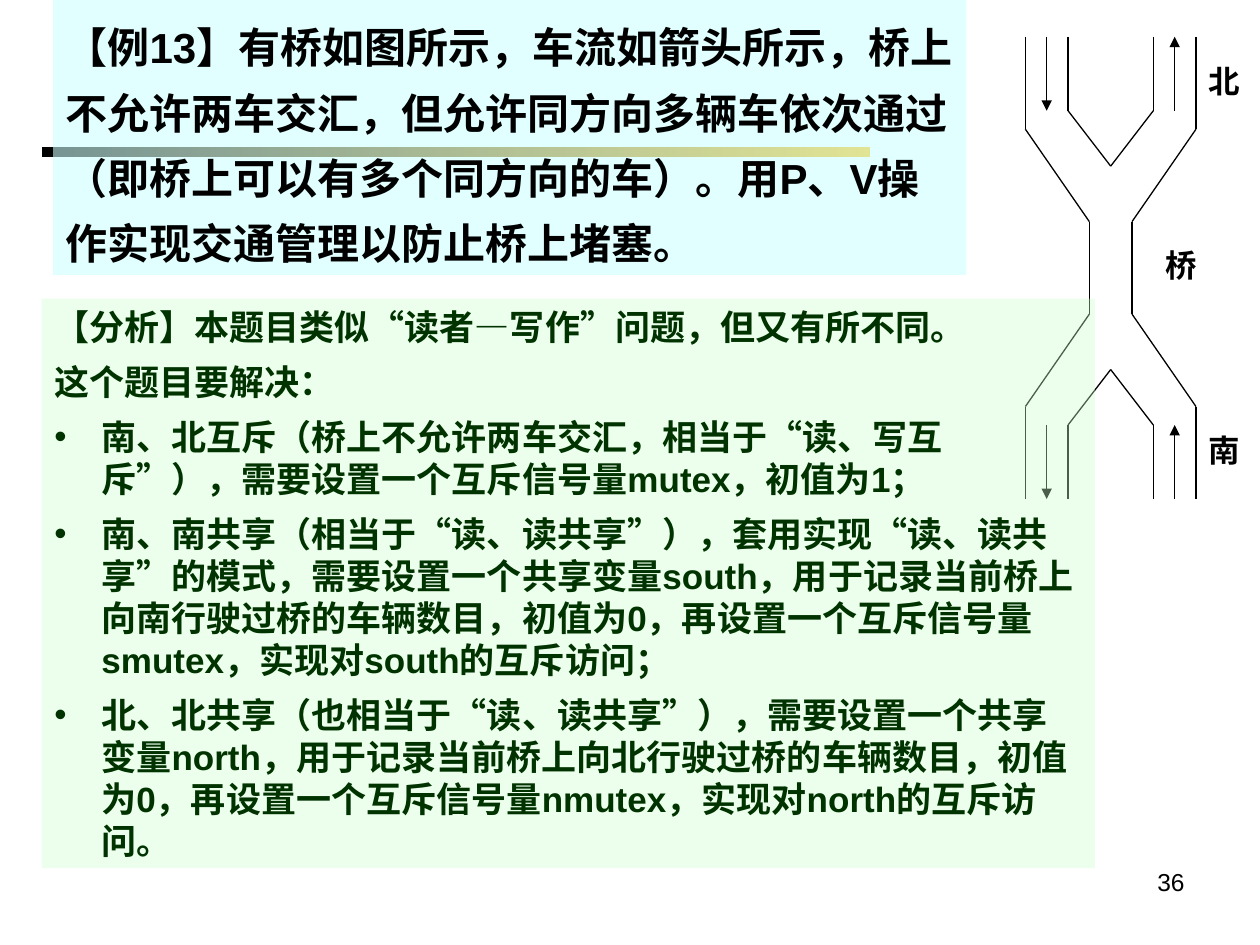
import dataclasses

import lxml.etree
import pptx
import pptx.dml.color
import pptx.enum.shapes
import pptx.enum.text
import pptx.oxml.ns
import pptx.util

Cm = pptx.util.Cm
Pt = pptx.util.Pt
qn = pptx.oxml.ns.qn
ALIGN = pptx.enum.text.PP_ALIGN
ANCHOR = pptx.enum.text.MSO_ANCHOR


@dataclasses.dataclass
class Style:
    size: float
    color: str = "000000"
    font: str = "Arial"
    bold: bool = True


@dataclasses.dataclass
class Line:
    x1: int
    y1: int
    x2: int
    y2: int
    arrow: bool = False


@dataclasses.dataclass
class Label:
    text: str
    left: float
    top: float


@dataclasses.dataclass
class Item:
    text: str
    bullet: bool = True


# Road grid: 8 columns by 25 rows, in cm
LEFT, TOP, COL, ROW = 20.67, 0.74, 0.43, 9.32 / 25
COLS, ROWS = 8, 25

# One branch of the road; the other three are its mirror images
BRANCH = [
    Line(0, 0, 0, 5),
    Line(2, 0, 2, 4),
    Line(2, 4, 4, 7),
    Line(0, 5, 3, 10),
]
BRIDGE = [Line(3, 10, 3, 15), Line(5, 10, 5, 15)]
FLOW = [
    Line(1, 0, 1, 4, True),
    Line(1, 21, 1, 25, True),
    Line(7, 25, 7, 21, True),
    Line(7, 4, 7, 0, True),
]
LABELS = [
    Label("桥", 23.24, 4.84),
    Label("北", 24.12, 1.12),
    Label("南", 24.12, 8.56),
]

TITLE = "【例13】有桥如图所示，车流如箭头所示，桥上不允许两车交汇，但允许同方向多辆车依次通过（即桥上可以有多个同方向的车）。用P、V操作实现交通管理以防止桥上堵塞。"
ITEMS = [
    Item("【分析】本题目类似“读者—写作”问题，但又有所不同。", False),
    Item("这个题目要解决：", False),
    Item("南、北互斥（桥上不允许两车交汇，相当于“读、写互斥”），需要设置一个互斥信号量mutex，初值为1；"),
    Item("南、南共享（相当于“读、读共享”），套用实现“读、读共享”的模式，需要设置一个共享变量south，用于记录当前桥上向南行驶过桥的车辆数目，初值为0，再设置一个互斥信号量smutex，实现对south的互斥访问；"),
    Item("北、北共享（也相当于“读、读共享”），需要设置一个共享变量north，用于记录当前桥上向北行驶过桥的车辆数目，初值为0，再设置一个互斥信号量nmutex，实现对north的互斥访问。"),
]


def paint(target, color: str) -> None:
    target.rgb = pptx.dml.color.RGBColor.from_string(color)


def write(para, text: str, style: Style) -> None:
    run = para.add_run()
    run.text = text
    run.font.size = Pt(style.size)
    run.font.name = style.font
    run.font.bold = style.bold
    paint(run.font.color, style.color)


def place(shape, left: float, top: float, width: float, height: float) -> None:
    shape.left, shape.top = Cm(left), Cm(top)
    shape.width, shape.height = Cm(width), Cm(height)


def panel(shape, color: str, alpha: int) -> None:
    """Give a placeholder a see-through fill and bring it to the front."""
    shape.fill.solid()
    paint(shape.fill.fore_color, color)
    tint = shape.element.spPr.find(".//" + qn("a:srgbClr"))
    lxml.etree.SubElement(tint, qn("a:alpha"), val=str(alpha * 1000))
    frame = shape.text_frame
    frame.word_wrap = True
    frame.auto_size = pptx.enum.text.MSO_AUTO_SIZE.NONE
    frame.vertical_anchor = ANCHOR.MIDDLE
    shape.element.getparent().append(shape.element)


def indent(para, bullet: bool) -> None:
    props = para._p.get_or_add_pPr()
    props.set("marL", str(Cm(0.95)))
    props.set("indent", str(-Cm(0.95)))
    # Keep closing punctuation inside the text area
    props.set("hangingPunct", "0")
    if bullet:
        lxml.etree.SubElement(props, qn("a:buFont"), typeface="Arial")
        lxml.etree.SubElement(props, qn("a:buChar"), char="•")
    else:
        lxml.etree.SubElement(props, qn("a:buNone"))


def draw(shapes, line: Line) -> None:
    link = shapes.add_connector(
        pptx.enum.shapes.MSO_CONNECTOR.STRAIGHT,
        Cm(LEFT + line.x1 * COL), Cm(TOP + line.y1 * ROW),
        Cm(LEFT + line.x2 * COL), Cm(TOP + line.y2 * ROW))
    link.line.width = Pt(0.75)
    link.line.fill.solid()
    paint(link.line.fill.fore_color, "000000")
    props = link.element.spPr
    if line.arrow:
        lxml.etree.SubElement(props.find(qn("a:ln")), qn("a:tailEnd"), type="triangle")
    lxml.etree.SubElement(props, qn("a:effectLst"))


def flip(line: Line, across: bool, down: bool) -> Line:
    x1, x2 = (COLS - line.x1, COLS - line.x2) if across else (line.x1, line.x2)
    y1, y2 = (ROWS - line.y1, ROWS - line.y2) if down else (line.y1, line.y2)
    return Line(x1, y1, x2, y2)


def note(shapes, text: str, box: tuple, align, style: Style) -> None:
    shape = shapes.add_textbox(*map(Cm, box))
    shape.text_frame.word_wrap = True
    para = shape.text_frame.paragraphs[0]
    para.alignment = align
    write(para, text, style)


def main() -> None:
    deck = pptx.Presentation()
    deck.slide_width, deck.slide_height = Cm(25.4), Cm(19.05)
    slide = deck.slides.add_slide(deck.slide_layouts[1])
    title, body = slide.placeholders

    # Gradient bar
    bar = slide.shapes.add_shape(
        pptx.enum.shapes.MSO_SHAPE.RECTANGLE, Cm(0.84), Cm(2.97), Cm(16.71), Cm(0.2))
    bar.shadow.inherit = False
    bar.line.fill.background()
    bar.fill.gradient()
    bar.fill.gradient_angle = 0
    for stop, color, spot in zip(bar.fill.gradient_stops, ("000000", "FFBF00"), (0, 1)):
        paint(stop.color, color)
        stop.position = spot

    # Page number
    note(slide.shapes, "36", (18.21, 17.35, 5.92, 1.32), ALIGN.RIGHT, Style(14, bold=False))

    # Title
    place(title, 1.07, 0, 18.41, 5.54)
    panel(title, "CCFFFF", 58)
    para = title.text_frame.paragraphs[0]
    para.alignment = ALIGN.LEFT
    para.line_spacing = 1.3
    write(para, TITLE, Style(24))

    # Bridge with its four branches
    group = slide.shapes.add_group_shape().shapes
    for across in (False, True):
        for down in (False, True):
            for line in BRANCH:
                draw(group, flip(line, across, down))
    for line in BRIDGE + FLOW:
        draw(group, line)
    for label in LABELS:
        note(group, label.text, (label.left, label.top, 1.28, 1.12),
             ALIGN.JUSTIFY, Style(18, font="Times New Roman"))

    # Analysis
    place(body, 0.84, 6.02, 21.23, 11.48)
    panel(body, "CCFFCC", 37)
    frame = body.text_frame
    frame.margin_right = Cm(0.4)
    for i, item in enumerate(ITEMS):
        para = frame.add_paragraph() if i else frame.paragraphs[0]
        indent(para, item.bullet)
        para.space_before = Pt(7.5 if i else 0)
        write(para, item.text, Style(20, "003300"))

    deck.save("out.pptx")


if __name__ == "__main__":
    main()
